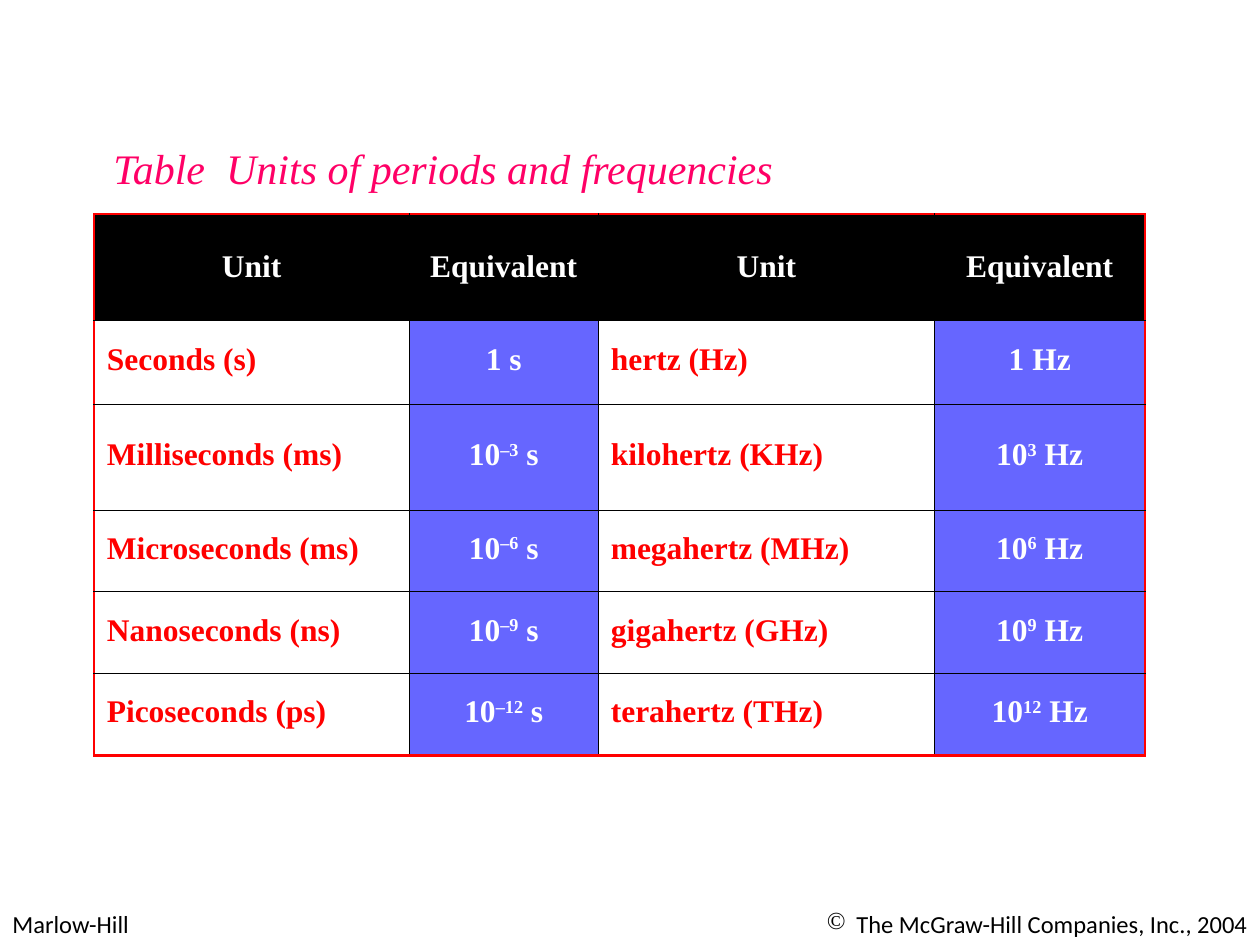
"""Build a slide with a table of period and frequency units."""
from lxml import etree
from pptx import Presentation
from pptx import util as u
from pptx.dml import color
from pptx.enum import text
from pptx.oxml import ns

SERIF, SANS = "Times New Roman", "Calibri"
BLACK, WHITE, RED, BLUE, PINK = "000000", "FFFFFF", "FF0000", "6666FF", "FF0066"
LEFT, CENTER, RIGHT = text.PP_ALIGN.LEFT, text.PP_ALIGN.CENTER, text.PP_ALIGN.RIGHT

COLS = [6.35, 3.81, 6.78, 4.24]
ROWS = [2.13, 1.7, 2.13, 1.65, 1.65, 1.65]
UNITS = [
    ["Unit", "Equivalent", "Unit", "Equivalent"],
    ["Seconds (s)", "1 s", "hertz (Hz)", "1 Hz"],
    ["Milliseconds (ms)", "10^–3^ s", "kilohertz (KHz)", "10^3^ Hz"],
    ["Microseconds (ms)", "10^–6^ s", "megahertz (MHz)", "10^6^ Hz"],
    ["Nanoseconds (ns)", "10^–9^ s", "gigahertz (GHz)", "10^9^ Hz"],
    ["Picoseconds (ps)", "10^–12^ s", "terahertz (THz)", "10^12^ Hz"],
]


def rgb(value):
    return color.RGBColor.from_string(value)


def write(tf, content, size=18, font=SERIF, fill=BLACK, bold=False, italic=False,
          align=LEFT, spacing=None, bullet=None):
    p = tf.paragraphs[0]
    if bullet:
        pPr = p._p.get_or_add_pPr()
        indent = u.Cm(0.6)
        pPr.set("marL", str(indent))
        pPr.set("indent", str(-indent))
        etree.SubElement(pPr, ns.qn("a:buChar"), char=bullet)
    p.alignment = align
    if spacing:
        p.line_spacing = spacing
    for i, part in enumerate(content.split("^")):
        r = p.add_run()
        r.text = part
        r.font.size, r.font.name = u.Pt(size), font
        r.font.bold, r.font.italic = bold, italic
        r.font.color.rgb = rgb(fill)
        if i % 2:
            r._r.get_or_add_rPr().set("baseline", "30000")


def border(cell, edges):
    tcPr = cell._tc.get_or_add_tcPr()
    for i, (side, outer) in enumerate(edges.items()):
        ln = etree.Element(ns.qn(f"a:ln{side}"), w=str(u.Pt(1.47 if outer else 0.45)))
        fill = etree.SubElement(ln, ns.qn("a:solidFill"))
        etree.SubElement(fill, ns.qn("a:srgbClr"), val=RED if outer else BLACK)
        tcPr.insert(i, ln)


class Deck:
    def __init__(self):
        self.prs = Presentation()
        self.prs.slide_width, self.prs.slide_height = u.Cm(25.4), u.Cm(19.05)
        self.s = self.prs.slides.add_slide(self.prs.slide_layouts[5])

    def title(self, content, x, y, w, h):
        sp = self.s.shapes.title
        sp.left, sp.top, sp.width, sp.height = map(u.Cm, (x, y, w, h))
        tf = sp.text_frame
        tf.word_wrap = False
        tf.auto_size = text.MSO_AUTO_SIZE.SHAPE_TO_FIT_TEXT
        tf.vertical_anchor = text.MSO_ANCHOR.TOP
        write(tf, content, size=24, fill=PINK, italic=True)

    def footer(self, content, x, w, **fmt):
        sp = self.s.shapes.add_textbox(*map(u.Cm, (x, 18.21, w, 0.86)))
        tf = sp.text_frame
        tf.word_wrap = True
        write(tf, content, size=14, font=SANS, **fmt)

    def table(self, data, x, y, cols, rows):
        size = map(u.Cm, (x, y, sum(cols), sum(rows)))
        tbl = self.s.shapes.add_table(len(rows), len(cols), *size).table
        tbl.first_row = tbl.horz_banding = False
        for col, w in zip(tbl.columns, cols):
            col.width = u.Cm(w)
        for row, h in zip(tbl.rows, rows):
            row.height = u.Cm(h)
        for i, values in enumerate(data):
            for j, value in enumerate(values):
                self.cell(tbl.cell(i, j), value, header=i == 0, equivalent=j % 2 == 1)
                border(tbl.cell(i, j), {"L": j == 0, "R": j == len(cols) - 1,
                                        "T": i == 0, "B": i == len(rows) - 1})

    def cell(self, cell, value, header, equivalent):
        cell.vertical_anchor = text.MSO_ANCHOR.MIDDLE
        cell.fill.solid()
        cell.fill.fore_color.rgb = rgb(BLACK if header else BLUE if equivalent else WHITE)
        write(cell.text_frame, value, bold=True,
              fill=WHITE if header or equivalent else RED,
              align=CENTER if header or equivalent else LEFT,
              spacing=None if header else 0.8)


def main():
    deck = Deck()
    deck.footer("Marlow-Hill", 0, 6.15)
    deck.footer("The McGraw-Hill Companies, Inc., 2004", 12.7, 12.7, align=RIGHT, bullet="©")
    deck.title("Table  Units of periods and frequencies", 2.03, 2.74, 13.89, 1.27)
    deck.table(UNITS, 1.9, 4.32, COLS, ROWS)
    deck.prs.save("out.pptx")


if __name__ == "__main__":
    main()
